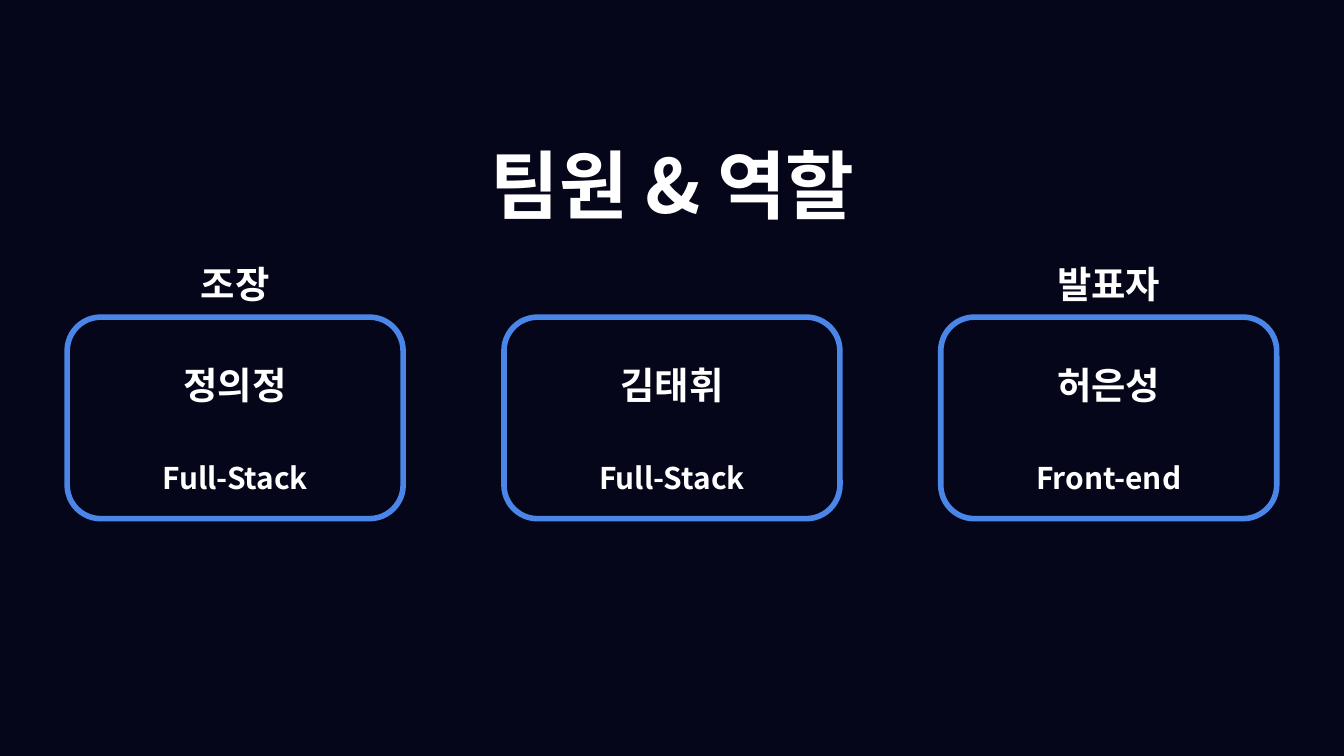
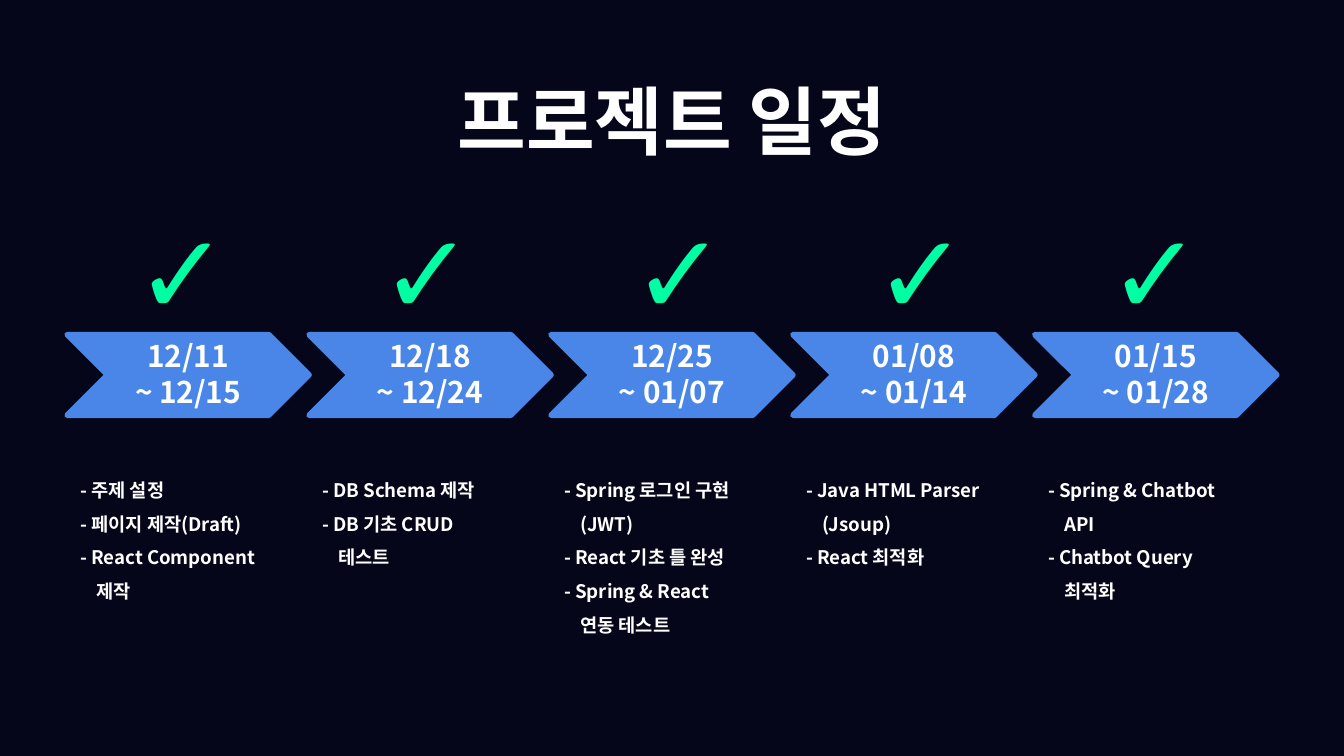
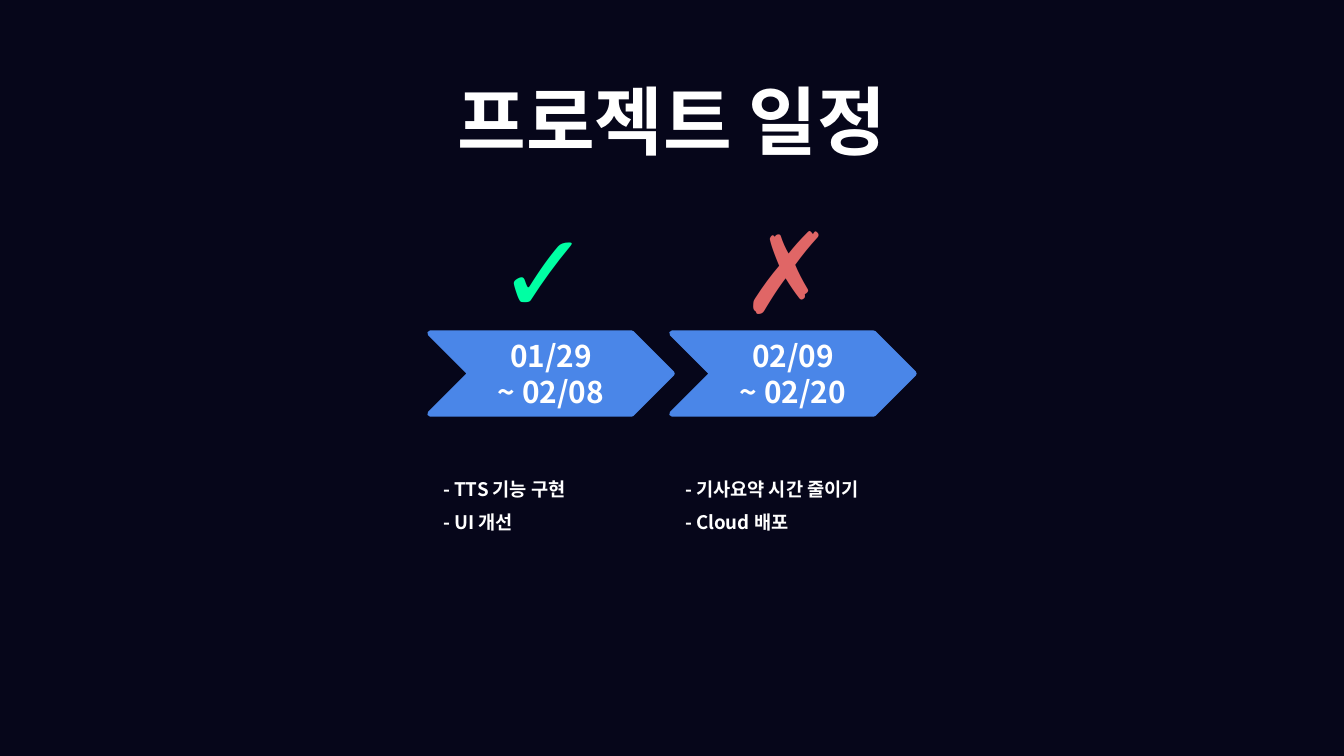
from dataclasses import dataclass

from lxml.etree import SubElement
from pptx import Presentation
from pptx.dml.color import RGBColor
from pptx.enum.shapes import MSO_SHAPE as Preset
from pptx.enum.text import MSO_ANCHOR as Anchor, PP_ALIGN as Align
from pptx.oxml.ns import qn
from pptx.slide import Slide
from pptx.util import Inches, Pt


@dataclass(frozen=True)
class Theme:
    background: str = "06061A"
    text: str = "FFFFFF"
    accent: str = "4A86E8"
    done: str = "00FFA3"
    open: str = "E06666"
    font: str = "Noto Sans CJK KR"
    mark_font: str = "Arial"
    title_size: int = 40
    name_size: int = 20
    label_size: int = 16
    task_size: int = 10
    mark_size: int = 60
    line_width: int = 3


@dataclass(frozen=True)
class Area:
    left: float
    top: float
    width: float
    height: float

    def lengths(self) -> tuple:
        return tuple(map(Inches, (self.left, self.top, self.width, self.height)))


@dataclass(frozen=True)
class Member:
    name: str
    role: str
    duty: str = ""


@dataclass(frozen=True)
class Step:
    """One stage of the schedule; \\v in a text is a line break."""
    dates: str
    tasks: tuple[str, ...]
    mark_shift: float
    done: bool = True
    tasks_width: float = 1.8
    tasks_height: float = 2.17


THEME = Theme()
PAGE_WIDTH = 10
PAGE_HEIGHT = PAGE_WIDTH * 9 / 16
MARGIN = 0.5
CARD_WIDTH, CARD_HEIGHT, CARD_TOP = 2.5, 1.5, 2.36
STEP_WIDTH, STEP_HEIGHT = 1.8, 0.6
LABEL_HEIGHT = 0.62
DATES_TOP = 2.47
TASK_INDENT = 0.12

TEAM = (
    Member("정의정", "Full-Stack", "조장"),
    Member("김태휘", "Full-Stack"),
    Member("허은성", "Front-end", "발표자"),
)

FIRST_STEPS = (
    Step("12/11\v~ 12/15",
         ("- 주제 설정", "- 페이지 제작(Draft)", "- React Component\v제작"), 0.41),
    Step("12/18\v~ 12/24", ("- DB Schema 제작", "- DB 기초 CRUD\v테스트"), 0.43),
    Step("12/25\v~ 01/07",
         ("- Spring 로그인 구현\v(JWT)", "- React 기초 틀 완성", "- Spring & React\v연동 테스트"),
         0.51, tasks_width=1.63, tasks_height=1.45),
    Step("01/08\v~ 01/14", ("- Java HTML Parser\v(Jsoup)", "- React 최적화"), 0.51),
    Step("01/15\v~ 01/28", ("- Spring & Chatbot\vAPI", "- Chatbot Query\v최적화"), 0.45),
)

LAST_STEPS = (
    Step("01/29\v~ 02/08", ("- TTS 기능 구현", "- UI 개선"), 0.4),
    Step("02/09\v~ 02/20", ("- 기사요약 시간 줄이기", "- Cloud 배포"), 0.41,
         done=False, tasks_height=0.86),
)


def add_text(page: Slide, area: Area, *texts: str, size: int, color: str = THEME.text,
             font: str = THEME.font, align: Align = Align.CENTER,
             anchor: Anchor = Anchor.MIDDLE, spacing: float = 1.0,
             hanging: float = 0) -> None:
    """Add a text box with one paragraph for each text."""
    frame = page.shapes.add_textbox(*area.lengths()).text_frame
    frame.word_wrap = True
    frame.vertical_anchor = anchor
    frame.margin_left = frame.margin_right = Inches(0.1)
    frame.margin_top = frame.margin_bottom = Inches(0.1)
    for index, text in enumerate(texts):
        para = frame.add_paragraph() if index else frame.paragraphs[0]
        para.text = text
        para.alignment = align
        para.line_spacing = spacing
        if hanging:
            props = para._p.get_or_add_pPr()
            props.set("marL", str(Inches(hanging)))
            props.set("indent", str(-Inches(hanging)))
        for span in para.runs:
            span.font.size = Pt(size)
            span.font.bold = True
            span.font.color.rgb = RGBColor.from_string(color)
            span.font.name = font
            for script in ("a:ea", "a:cs"):
                SubElement(span.font._element, qn(script)).set("typeface", font)


def add_outlined(page: Slide, preset: Preset, area: Area, adjustment: float,
                 filled: bool = False) -> None:
    shape = page.shapes.add_shape(preset, *area.lengths())
    shape.shadow.inherit = False
    shape.adjustments[0] = adjustment
    accent = RGBColor.from_string(THEME.accent)
    if filled:
        shape.fill.solid()
        shape.fill.fore_color.rgb = accent
    else:
        shape.fill.background()
    shape.line.color.rgb = accent
    shape.line.width = Pt(THEME.line_width)
    SubElement(shape._element.spPr.find(qn("a:ln")), qn("a:round"))


def add_page(deck: Presentation, title: str, title_area: Area) -> Slide:
    page = deck.slides.add_slide(deck.slide_layouts[6])
    page.background.fill.solid()
    page.background.fill.fore_color.rgb = RGBColor.from_string(THEME.background)
    add_text(page, title_area, title, size=THEME.title_size)
    return page


def add_team_page(deck: Presentation) -> None:
    page = add_page(deck, "팀원 & 역할", Area(3.25, 0.81, 3.51, 1.12))
    pitch = (PAGE_WIDTH - 2 * MARGIN - CARD_WIDTH) / (len(TEAM) - 1)
    for index, member in enumerate(TEAM):
        left = MARGIN + index * pitch
        add_outlined(page, Preset.ROUNDED_RECTANGLE,
                     Area(left, CARD_TOP, CARD_WIDTH, CARD_HEIGHT), 0.167)
        labels = (
            (member.duty, -0.56, THEME.name_size),
            (member.name, 0.19, THEME.name_size),
            (member.role, CARD_HEIGHT - LABEL_HEIGHT, THEME.label_size),
        )
        for text, offset, size in labels:
            if text:
                add_text(page, Area(left, CARD_TOP + offset, CARD_WIDTH, LABEL_HEIGHT),
                         text, size=size)


def add_schedule_page(deck: Presentation, steps: tuple[Step, ...], top: float) -> None:
    """Add a centred row of steps whose chevrons start at top."""
    page = add_page(deck, "프로젝트 일정", Area(2.93, 0.58, 4.14, LABEL_HEIGHT))
    row_left = (PAGE_WIDTH - len(steps) * STEP_WIDTH) / 2
    for index, step in enumerate(steps):
        left = row_left + index * STEP_WIDTH
        add_outlined(page, Preset.CHEVRON, Area(left, top, STEP_WIDTH, STEP_HEIGHT),
                     0.5, filled=True)
        add_text(page, Area(left + 0.25, DATES_TOP, 1.3, LABEL_HEIGHT),
                 step.dates, size=THEME.label_size)
        add_text(page, Area(left, top + 0.89, step.tasks_width, step.tasks_height),
                 *step.tasks, size=THEME.task_size, align=Align.LEFT,
                 anchor=Anchor.TOP, spacing=1.5, hanging=TASK_INDENT)
        add_text(page, Area(left + step.mark_shift, top - 0.89, 0.78, 0.82),
                 "✓" if step.done else "✗", size=THEME.mark_size,
                 color=THEME.done if step.done else THEME.open,
                 font=THEME.mark_font, align=Align.LEFT)


def main() -> None:
    deck = Presentation()
    deck.slide_width, deck.slide_height = Inches(PAGE_WIDTH), Inches(PAGE_HEIGHT)
    add_team_page(deck)
    add_schedule_page(deck, FIRST_STEPS, 2.49)
    add_schedule_page(deck, LAST_STEPS, 2.48)
    deck.save("out.pptx")


if __name__ == "__main__":
    main()
